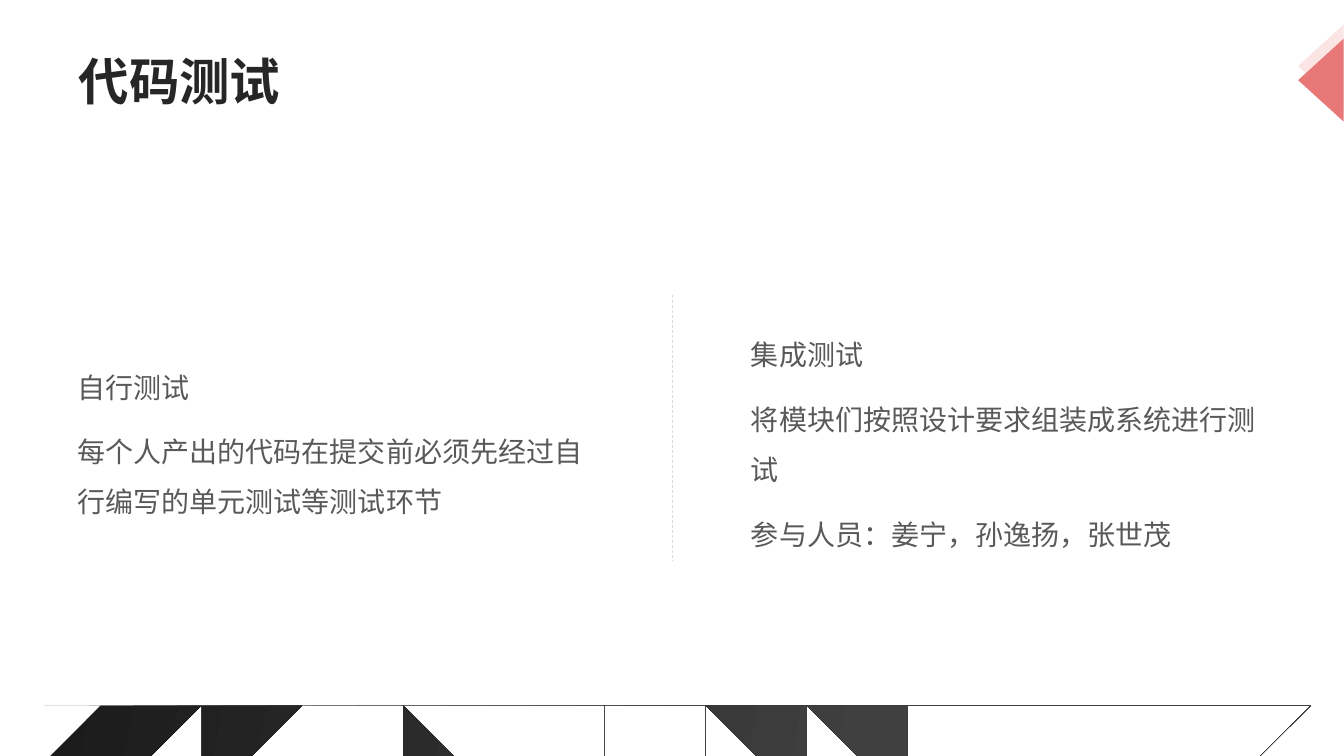
import pptx
import pptx.dml.color
import pptx.enum.dml
import pptx.enum.shapes
import pptx.enum.text
import pptx.oxml.ns
import pptx.util
from lxml import etree

WIDTH, HEIGHT = 13.33, 7.5
MARGIN = 0.67
FONT = "Noto Sans CJK SC"
WAVE_COUNT = 9
WAVE_THICKNESS = 1.2 / 72
WAVE_STEPS = 24
# Each knot: x, top of the first wave, distance from first wave to last.
WAVE_KNOTS = [
    (0, 7.15, 0.56), (0.91, 7.06, 0.52), (1.94, 7, 0.5), (3.27, 6.97, 0.49),
    (5.09, 7, 0.51), (6.01, 7.05, 0.51), (6.99, 7.12, 0.51), (8.67, 7.22, 0.51),
    (10.33, 7.28, 0.49), (11.97, 7.27, 0.49), (13.33, 7.2, 0.5),
]
COLUMNS = [
    ["自行测试", "每个人产出的代码在提交前必须先经过自行编写的单元测试等测试环节"],
    ["集成测试", "将模块们按照设计要求组装成系统进行测试", "参与人员：姜宁，孙逸扬，张世茂"],
]


def color(value):
    """Turn a hex string into a colour."""
    return pptx.dml.color.RGBColor.from_string(value)


def inches(*lengths):
    """Turn numbers into a list of lengths."""
    return [pptx.util.Inches(length) for length in lengths]


def write_text(frame, texts, size, fill, bold=False, line_spacing=None, gap=0,
               insets=(0.1, 0.05, 0.1, 0.05)):
    """Write one paragraph per text, left-aligned and vertically centred."""
    frame.word_wrap = True
    frame.auto_size = pptx.enum.text.MSO_AUTO_SIZE.NONE
    frame.vertical_anchor = pptx.enum.text.MSO_ANCHOR.MIDDLE
    (frame.margin_left, frame.margin_top,
     frame.margin_right, frame.margin_bottom) = inches(*insets)
    for index, text in enumerate(texts):
        paragraph = frame.add_paragraph() if index else frame.paragraphs[0]
        paragraph.alignment = pptx.enum.text.PP_ALIGN.LEFT
        paragraph.line_spacing = line_spacing
        paragraph.space_before = pptx.util.Pt(gap if index else 0)
        run = paragraph.add_run()
        run.text = text
        run.font.size = pptx.util.Pt(size)
        run.font.bold = bold
        run.font.color.rgb = color(fill)
        run.font.name = FONT
        east_asian = etree.SubElement(run.font._element, pptx.oxml.ns.qn("a:ea"))
        east_asian.set("typeface", FONT)


def interpolate(x, column):
    """Follow a smooth curve through one column of the wave knots."""
    def slope(index):
        """Give the slope between the neighbours of a knot."""
        before = WAVE_KNOTS[max(index - 1, 0)]
        after = WAVE_KNOTS[min(index + 1, len(WAVE_KNOTS) - 1)]
        return (after[column] - before[column]) / (after[0] - before[0])

    index = max(i for i, knot in enumerate(WAVE_KNOTS[:-1]) if knot[0] <= x)
    start, end = WAVE_KNOTS[index], WAVE_KNOTS[index + 1]
    span = end[0] - start[0]
    t = (x - start[0]) / span
    return ((2 * t**3 - 3 * t**2 + 1) * start[column]
            + (t**3 - 2 * t**2 + t) * span * slope(index)
            + (3 * t**2 - 2 * t**3) * end[column]
            + (t**3 - t**2) * span * slope(index + 1))


def add_waves(slide):
    """Draw the thin ribbons along the bottom edge as one outline."""
    positions = [WIDTH * step / WAVE_STEPS for step in range(WAVE_STEPS + 1)]
    builder = None
    for wave in range(WAVE_COUNT):
        share = wave / (WAVE_COUNT - 1)
        top = [(x, interpolate(x, 1) + share * interpolate(x, 2)) for x in positions]
        bottom = [(x, y + WAVE_THICKNESS) for x, y in reversed(top)]
        ribbon = [(x, min(y, HEIGHT)) for x, y in top + bottom]
        if builder is None:
            builder = slide.shapes.build_freeform(*ribbon[0], scale=pptx.util.Inches(1))
        else:
            builder.move_to(*ribbon[0])
        builder.add_line_segments(ribbon[1:], close=True)
    waves = builder.convert_to_shape()
    waves.shadow.inherit = False
    waves.line.fill.background()
    waves.fill.gradient()
    waves.fill.gradient_angle = 350
    for stop, (position, value) in zip(waves.fill.gradient_stops,
                                       [(0, "191919"), (0.67, "404040")]):
        stop.position = position
        stop.color.rgb = color(value)


def add_corner(slide, left, top, width, height):
    """Stack two left-pointing triangles at the right edge."""
    group = slide.shapes.add_group_shape()
    for offset, fill in [(0, "FAE4E4"), (0.14, "E87878")]:
        triangle = group.shapes.add_shape(
            pptx.enum.shapes.MSO_SHAPE.ISOSCELES_TRIANGLE,
            *inches(left, top + offset, width, height))
        triangle.rotation = 270
        triangle.shadow.inherit = False
        triangle.fill.solid()
        triangle.fill.fore_color.rgb = color(fill)
        triangle.line.fill.background()


def add_divider(slide, x, top, bottom):
    """Draw the dashed vertical line between the columns."""
    divider = slide.shapes.add_connector(
        pptx.enum.shapes.MSO_CONNECTOR.STRAIGHT, *inches(x, top, x, bottom))
    divider.line.color.rgb = color("D9D9D9")
    divider.line.width = pptx.util.Pt(0.5)
    divider.line.dash_style = pptx.enum.dml.MSO_LINE.DASH
    etree.SubElement(divider._element.spPr, pptx.oxml.ns.qn("a:effectLst"))


def add_columns(slide, left, top, width, height):
    """Place the text columns at both ends of the box."""
    column_width = 5.31
    step = (width - column_width) / (len(COLUMNS) - 1)
    for index, texts in enumerate(COLUMNS):
        box = slide.shapes.add_textbox(
            *inches(left + index * step, top, column_width, height))
        write_text(box.text_frame, texts, 20, "595959", line_spacing=1.5, gap=10)


def add_title(slide, left, top, width, height):
    """Move and fill the title placeholder."""
    title = slide.shapes.title
    title.left, title.top, title.width, title.height = inches(left, top, width, height)
    write_text(title.text_frame, ["代码测试"], 36, "262626", bold=True,
               insets=(0.11, 0.04, 0.08, 0.04))


def main():
    """Build and save the slide."""
    presentation = pptx.Presentation()
    presentation.slide_width, presentation.slide_height = inches(WIDTH, HEIGHT)
    slide = presentation.slides.add_slide(presentation.slide_layouts[5])
    content_width = WIDTH - 2 * MARGIN
    add_waves(slide)
    add_corner(slide, 12.69, 0.43, 0.82, 0.45)
    add_divider(slide, WIDTH / 2, 2.93, 5.57)
    add_columns(slide, MARGIN, 2.12, content_width, 4.41)
    add_title(slide, MARGIN, 0.41, content_width, 0.77)
    presentation.save("out.pptx")


if __name__ == "__main__":
    main()
